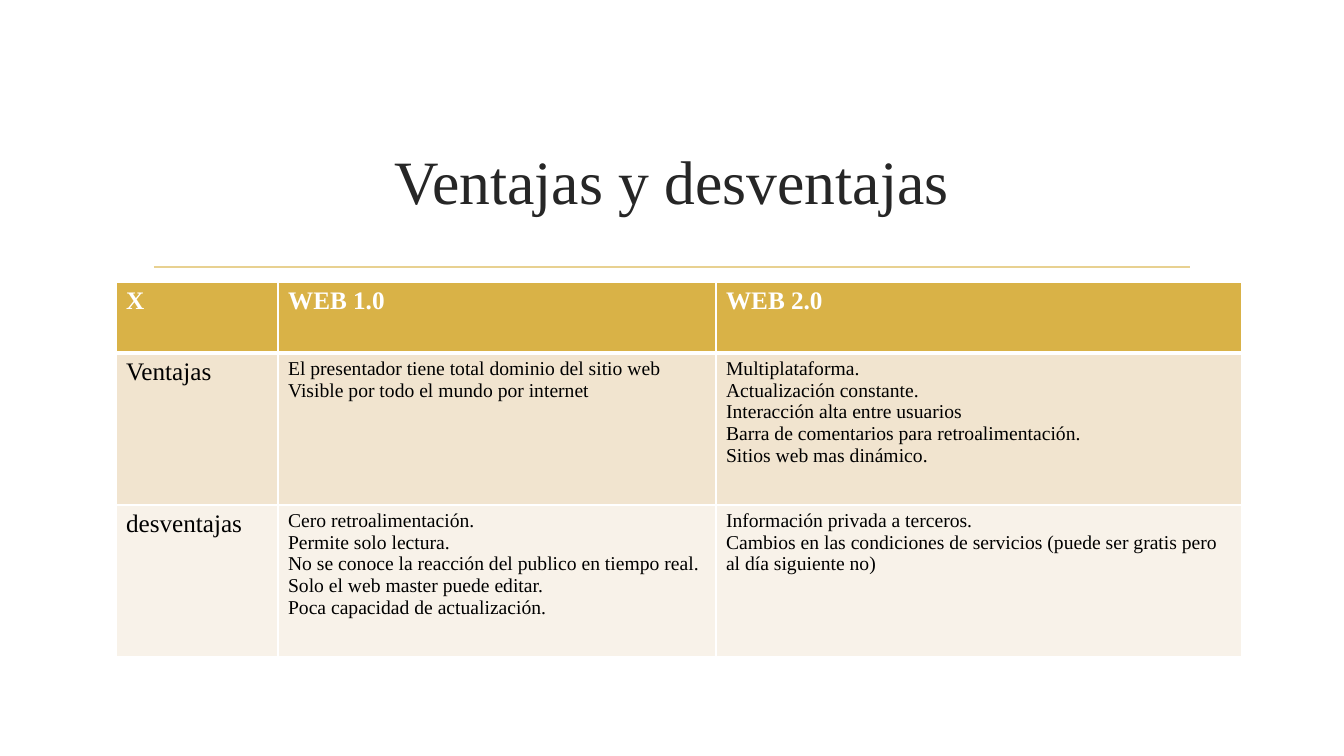
from lxml import etree
from pptx import Presentation, util as u
from pptx.dml.color import RGBColor
from pptx.enum import shapes, text
from pptx.oxml import ns

# Content
TITLE = "Ventajas y desventajas"
ROWS = [
    [["X"], ["WEB 1.0"], ["WEB 2.0"]],
    [
        ["Ventajas"],
        ["El presentador tiene total dominio del sitio web",
         "Visible por todo el mundo por internet"],
        ["Multiplataforma.",
         "Actualización constante.",
         "Interacción alta entre usuarios",
         "Barra de comentarios para retroalimentación.",
         "Sitios web mas dinámico."],
    ],
    [
        ["desventajas"],
        ["Cero retroalimentación.",
         "Permite solo lectura.",
         "No se conoce la reacción del publico en tiempo real.",
         "Solo el web master puede editar.",
         "Poca capacidad de actualización."],
        ["Información privada a terceros.",
         "Cambios en las condiciones de servicios (puede ser gratis pero "
         "al día siguiente no)"],
    ],
]

# Layout in px
PAGE = (1344, 756)
TITLE_BOX = (143, 108, 1058, 144)
RULE = (154, 267, 1190, 267)
TABLE_AT = (116, 282)
COLUMN_WIDTHS = [162, 438, 526]
ROW_HEIGHTS = [71, 152, 152]

FONT = "Times New Roman"
COLORS = {
    "title": "262626", "rule": "E8D191", "white": "FFFFFF", "black": "000000",
    "header": "D9B247", "band_dark": "F1E4CF", "band_light": "F8F2E9",
}
ROW_FILLS = ["header", "band_dark", "band_light"]


def px(length):
    return u.Emu(round(length * 914400 / 100.8))


def rgb(name):
    return RGBColor.from_string(COLORS[name])


def write(frame, lines, size, color, bold=False, align=text.PP_ALIGN.LEFT):
    frame.word_wrap = True
    for index, line in enumerate(lines):
        para = frame.add_paragraph() if index else frame.paragraphs[0]
        para.alignment = align
        span = para.add_run()
        span.text = line
        span.font.name = FONT
        span.font.size = u.Pt(size)
        span.font.bold = bold
        span.font.color.rgb = rgb(color)


def set_borders(cell, widths):
    properties = cell._tc.get_or_add_tcPr()
    for index, (side, width) in enumerate(widths.items()):
        border = etree.Element(ns.qn(f"a:ln{side}"), w=str(u.Pt(width)))
        fill = etree.SubElement(border, ns.qn("a:solidFill"))
        etree.SubElement(fill, ns.qn("a:srgbClr"), val=COLORS["white"])
        properties.insert(index, border)


deck = Presentation()
deck.slide_width, deck.slide_height = map(px, PAGE)
page = deck.slides.add_slide(deck.slide_layouts[6])

# Rule under the title
rule = page.shapes.add_connector(shapes.MSO_CONNECTOR.STRAIGHT, *map(px, RULE))
rule.line.color.rgb = rgb("rule")
rule.line.width = u.Pt(1.25)
etree.SubElement(rule._element.spPr, ns.qn("a:effectLst"))

# Title
box = page.shapes.add_textbox(*map(px, TITLE_BOX))
box.text_frame.vertical_anchor = text.MSO_ANCHOR.MIDDLE
write(box.text_frame, [TITLE], 44, "title", align=text.PP_ALIGN.CENTER)

# Comparison table
size = (sum(COLUMN_WIDTHS), sum(ROW_HEIGHTS))
table = page.shapes.add_table(
    len(ROWS), len(COLUMN_WIDTHS), *map(px, TABLE_AT + size)).table
for column, width in zip(table.columns, COLUMN_WIDTHS):
    column.width = px(width)
for row, height in zip(table.rows, ROW_HEIGHTS):
    row.height = px(height)

for r, cells in enumerate(ROWS):
    for c, lines in enumerate(cells):
        cell = table.cell(r, c)
        cell.fill.solid()
        cell.fill.fore_color.rgb = rgb(ROW_FILLS[r])
        header = r == 0
        write(cell.text_frame, lines, 18 if header or c == 0 else 14,
              "white" if header else "black", bold=header)
        set_borders(cell, {"L": 1, "R": 1, "T": 3 if r == 1 else 1,
                           "B": 3 if header else 1})

deck.save("out.pptx")
